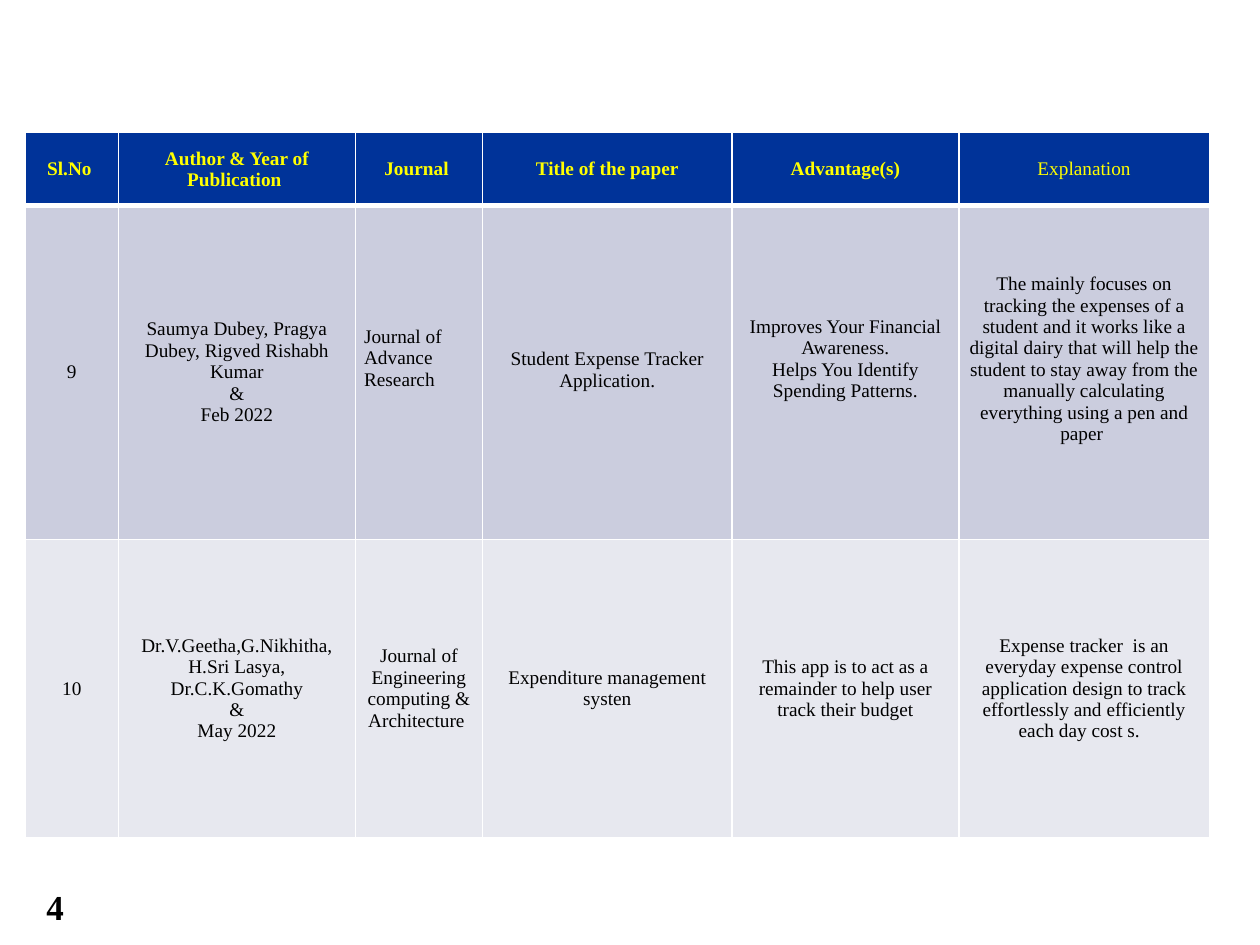
from lxml import etree
from pptx import Presentation
from pptx.dml.color import RGBColor
from pptx.enum.text import MSO_ANCHOR, PP_ALIGN
from pptx.oxml.ns import qn
from pptx.util import Inches, Pt

MIDDLE = MSO_ANCHOR.MIDDLE
LEFT, CENTER = PP_ALIGN.LEFT, PP_ALIGN.CENTER
WHITE = RGBColor(0xFF, 0xFF, 0xFF)
BLACK = RGBColor(0x00, 0x00, 0x00)
YELLOW = RGBColor(0xFF, 0xFF, 0x00)
NAVY = RGBColor(0x00, 0x33, 0x99)
LAVENDER = RGBColor(0xCB, 0xCD, 0xDE)
PALE = RGBColor(0xE7, 0xE8, 0xEF)
FONT = "Times New Roman"

COL_WIDTHS = [0.74, 1.88, 1.01, 1.98, 1.8, 1.99]
ROW_HEIGHTS = [0.58, 2.65, 2.37]
ROW_FILLS = [NAVY, LAVENDER, PALE]
TIGHT = (0.05, 0.01, 0.05, 0)
NONE = (0, 0, 0, 0)
MEDIUM = (0.06, 0.03, 0.06, 0.03)
WIDE = (0.07, 0.04, 0.07, 0.04)
MARGINS = [
    [TIGHT] * 6,
    [NONE, MEDIUM, (0.07, 0.04, 0.07, 0.26), (0.06, 0.03, 0.06, 0.07),
     (0.05, 0.01, 0.05, 0.22), (0.05, 0.01, 0.05, 0.22)],
    [NONE, MEDIUM, WIDE, MEDIUM, WIDE, WIDE],
]
PAPERS = [
    ["Sl.No ", "Author & Year of Publication ", "Journal ",
     "Title of the paper", "Advantage(s)", "Explanation"],
    ["9",
     "Saumya Dubey, Pragya Dubey, Rigved Rishabh Kumar\n&\nFeb 2022",
     "Journal of Advance Research",
     "Student Expense Tracker Application.",
     "Improves Your Financial Awareness.\nHelps You Identify Spending Patterns.",
     "The mainly focuses on tracking the expenses of a student and it works "
     "like a digital dairy that will help the student to stay away from the "
     "manually calculating everything using a pen and paper "],
    ["10",
     "Dr.V.Geetha,G.Nikhitha, H.Sri Lasya, Dr.C.K.Gomathy\n&\nMay 2022",
     "Journal of Engineering computing & Architecture ",
     "Expenditure management systen",
     "This app is to act as a remainder to help user track their budget",
     "Expense tracker  is an everyday expense control application design to "
     "track effortlessly and efficiently each day cost s.  "],
]


def write(tf, text, size, color, bold, align):
    """Write one paragraph for each line of the text."""
    for i, line in enumerate(text.split("\n")):
        p = tf.paragraphs[0] if i == 0 else tf.add_paragraph()
        p.alignment = align
        r = p.add_run()
        r.text = line
        r.font.name = FONT
        r.font.size = Pt(size)
        r.font.bold = bold
        r.font.color.rgb = color


def set_borders(cell, top, bottom):
    """Give a cell white borders, with the top and bottom widths in points."""
    tc_pr = cell._tc.get_or_add_tcPr()
    for side, width in (("L", 1), ("R", 1), ("T", top), ("B", bottom)):
        ln = etree.SubElement(tc_pr, qn(f"a:ln{side}"), w=str(Pt(width)))
        fill = etree.SubElement(ln, qn("a:solidFill"))
        etree.SubElement(fill, qn("a:srgbClr"), val=str(WHITE))


def add_papers_table(s, left, top, width, height):
    """Add the literature survey table."""
    table = s.shapes.add_table(len(PAPERS), len(COL_WIDTHS),
                               left, top, width, height).table
    table.horz_banding = False
    for column, share in zip(table.columns, COL_WIDTHS):
        column.width = int(width * share / sum(COL_WIDTHS))
    for row, share in zip(table.rows, ROW_HEIGHTS):
        row.height = int(height * share / sum(ROW_HEIGHTS))
    for i, texts in enumerate(PAPERS):
        for j, text in enumerate(texts):
            cell = table.cell(i, j)
            set_borders(cell, 3 if i == 1 else 1, 3 if i == 0 else 1)
            cell.fill.solid()
            cell.fill.fore_color.rgb = ROW_FILLS[i]
            cell.vertical_anchor = MIDDLE
            (cell.margin_left, cell.margin_top, cell.margin_right,
             cell.margin_bottom) = map(Inches, MARGINS[i][j])
            write(cell.text_frame, text, 11, YELLOW if i == 0 else BLACK,
                  i == 0 and j < 5, LEFT if (i, j) == (1, 2) else CENTER)


def add_page_number(s, left, top, width, height):
    """Add the page number."""
    tf = s.shapes.add_textbox(left, top, width, height).text_frame
    tf.word_wrap = True
    write(tf, "4", 20, BLACK, True, LEFT)


def main():
    """Build and save the slide."""
    prs = Presentation()
    prs.slide_width, prs.slide_height = Inches(10), Inches(7.5)
    s = prs.slides.add_slide(prs.slide_layouts[6])
    add_papers_table(s, Inches(0.2), Inches(1.05), Inches(9.4), Inches(5.6))
    add_page_number(s, Inches(0.27), Inches(6.98), Inches(0.61), Inches(0.45))
    prs.save("out.pptx")


if __name__ == "__main__":
    main()
